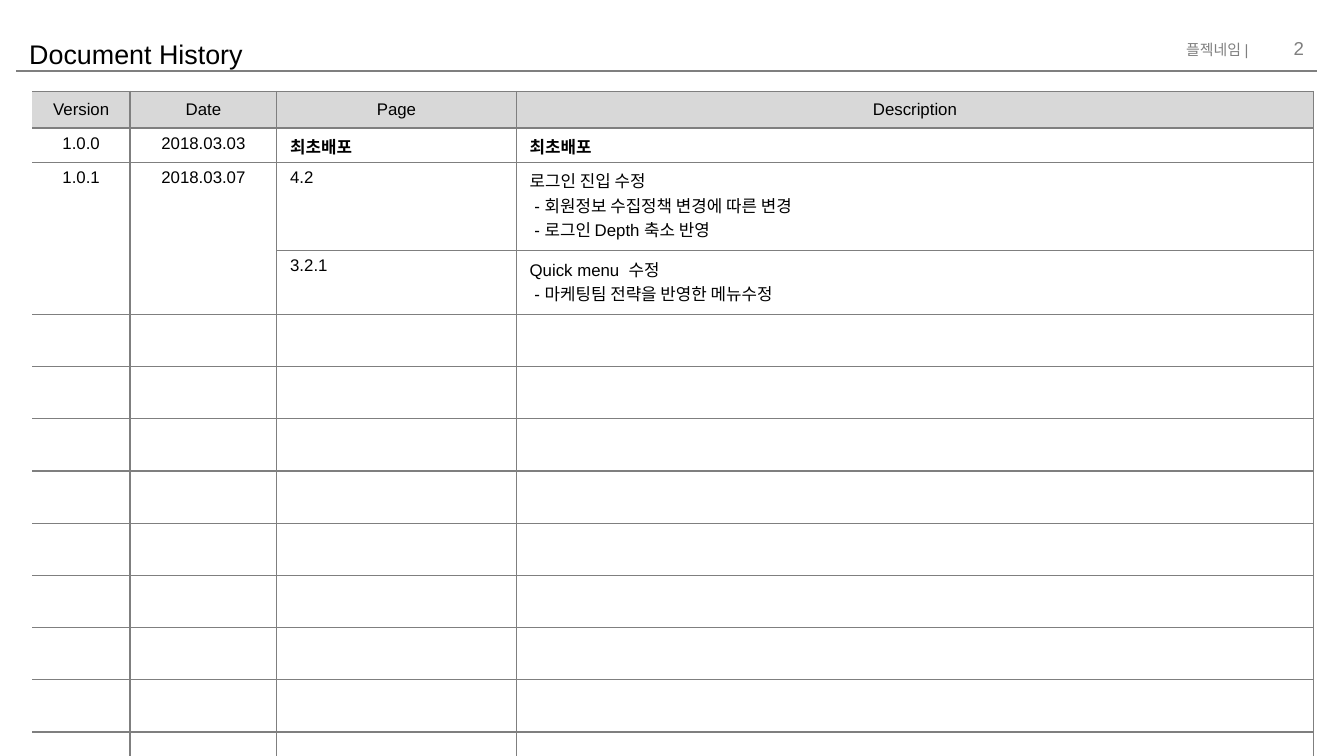
from dataclasses import dataclass

import pptx
import pptx.util
import pptx.dml.color
import pptx.enum.shapes
import pptx.enum.text
import pptx.oxml
import pptx.oxml.ns
from lxml import etree

Pt = pptx.util.Pt
RGBColor = pptx.dml.color.RGBColor
ALIGN = pptx.enum.text.PP_ALIGN
ANCHOR = pptx.enum.text.MSO_ANCHOR
qn = pptx.oxml.ns.qn

BLACK = RGBColor(0x00, 0x00, 0x00)
GRAY = RGBColor(0x7F, 0x7F, 0x7F)
HEADER_FILL = RGBColor(0xD8, 0xD8, 0xD8)
WHITE = RGBColor(0xFF, 0xFF, 0xFF)
FONT = "Arial"


@dataclass
class Label:
    text: str
    left: float
    top: float
    width: float
    height: float
    size: float
    color: RGBColor
    align: ALIGN = ALIGN.LEFT
    anchor: ANCHOR = ANCHOR.TOP


@dataclass
class Entry:
    version: str
    date: str
    page: str
    description: str
    height: float
    bold_notes: bool = False


PROJECT = Label("플젝네임 |", 624.2, 18, 51.8, 17.3, 8, GRAY, ALIGN.RIGHT)
TITLE = Label("Document History", 8.6, 16.6, 578.2, 21.6, 14.4, BLACK)
PAGE_NUMBER = Label("2", 662.4, 15.1, 43.2, 21.6, 10, GRAY, ALIGN.RIGHT, ANCHOR.MIDDLE)

COLUMN_WIDTHS = [52.4, 78.6, 128.3, 427.2]
ENTRIES = [
    Entry("Version", "Date", "Page", "Description", 19.6),
    Entry("1.0.0", "2018.03.03", "최초배포", "최초배포", 18.4, True),
    Entry("1.0.1", "2018.03.07", "4.2",
          "로그인 진입 수정\n - 회원정보 수집정책 변경에 따른 변경\n - 로그인 Depth 축소 반영", 47.3),
    Entry("", "", "3.2.1", "Quick menu  수정\n - 마케팅팀 전략을 반영한 메뉴수정", 34.1),
]
EMPTY_ROWS = 11
EMPTY_HEIGHT = 18.7


def style_text(tf, size: float, color: RGBColor, align: ALIGN, bold: bool = False) -> None:
    for p in tf.paragraphs:
        p.alignment = align
        for r in p.runs:
            r.font.name = FONT
            r.font.size = Pt(size)
            r.font.bold = bold
            r.font.color.rgb = color


def add_label(s, label: Label) -> None:
    sp = s.shapes.add_textbox(Pt(label.left), Pt(label.top), Pt(label.width), Pt(label.height))
    tf = sp.text_frame
    tf.word_wrap = True
    tf.vertical_anchor = label.anchor
    tf.text = label.text
    style_text(tf, label.size, label.color, label.align)


def set_borders(cell, has_left: bool) -> None:
    tc_pr = cell._tc.get_or_add_tcPr()
    for i, side in enumerate(("lnL", "lnR", "lnT", "lnB")):
        ln = etree.Element(qn(f"a:{side}"), w=str(Pt(0.75)))
        if side == "lnL" and not has_left:
            etree.SubElement(ln, qn("a:noFill"))
        else:
            fill = etree.SubElement(ln, qn("a:solidFill"))
            etree.SubElement(fill, qn("a:srgbClr"), val=str(GRAY))
        tc_pr.insert(i, ln)


def add_rule(s) -> None:
    line = s.shapes.add_connector(pptx.enum.shapes.MSO_CONNECTOR.STRAIGHT,
                                  Pt(8.6), Pt(38.2), Pt(705.6), Pt(38.2))
    line.line.color.rgb = GRAY
    line.line.width = Pt(1)
    etree.SubElement(line._element.spPr, qn("a:effectLst"))


def add_history(s) -> None:
    heights = [e.height for e in ENTRIES] + [EMPTY_HEIGHT] * EMPTY_ROWS
    table = s.shapes.add_table(len(heights), len(COLUMN_WIDTHS), Pt(17.3), Pt(49),
                               Pt(sum(COLUMN_WIDTHS)), Pt(sum(heights))).table
    table.first_row = table.horz_banding = False
    for column, width in zip(table.columns, COLUMN_WIDTHS):
        column.width = Pt(width)
    for row, height in zip(table.rows, heights):
        row.height = Pt(height)

    # Fills and borders
    for i, row in enumerate(table.rows):
        for j, cell in enumerate(row.cells):
            cell.margin_top = cell.margin_bottom = Pt(3.2)
            cell.fill.solid()
            cell.fill.fore_color.rgb = HEADER_FILL if i == 0 else WHITE
            set_borders(cell, has_left=j > 0)

    # Wording
    for i, e in enumerate(ENTRIES):
        for j, text in enumerate((e.version, e.date, e.page, e.description)):
            if not text:
                continue
            cell = table.cell(i, j)
            cell.text_frame.text = text
            cell.vertical_anchor = ANCHOR.MIDDLE if i == 0 else ANCHOR.TOP
            align = ALIGN.CENTER if i == 0 or j < 2 else ALIGN.LEFT
            style_text(cell.text_frame, 9, BLACK, align, e.bold_notes and j >= 2)

    # Version and date of 1.0.1 cover both of its changes
    for j in range(2):
        table.cell(2, j).merge(table.cell(3, j))


def main() -> None:
    prs = pptx.Presentation()
    prs.slide_width, prs.slide_height = Pt(720), Pt(405)
    s = prs.slides.add_slide(prs.slide_layouts[6])

    # Page header
    add_label(s, PROJECT)
    add_rule(s)
    add_label(s, TITLE)

    # Version table
    add_history(s)
    add_label(s, PAGE_NUMBER)
    prs.save("out.pptx")


if __name__ == "__main__":
    main()
